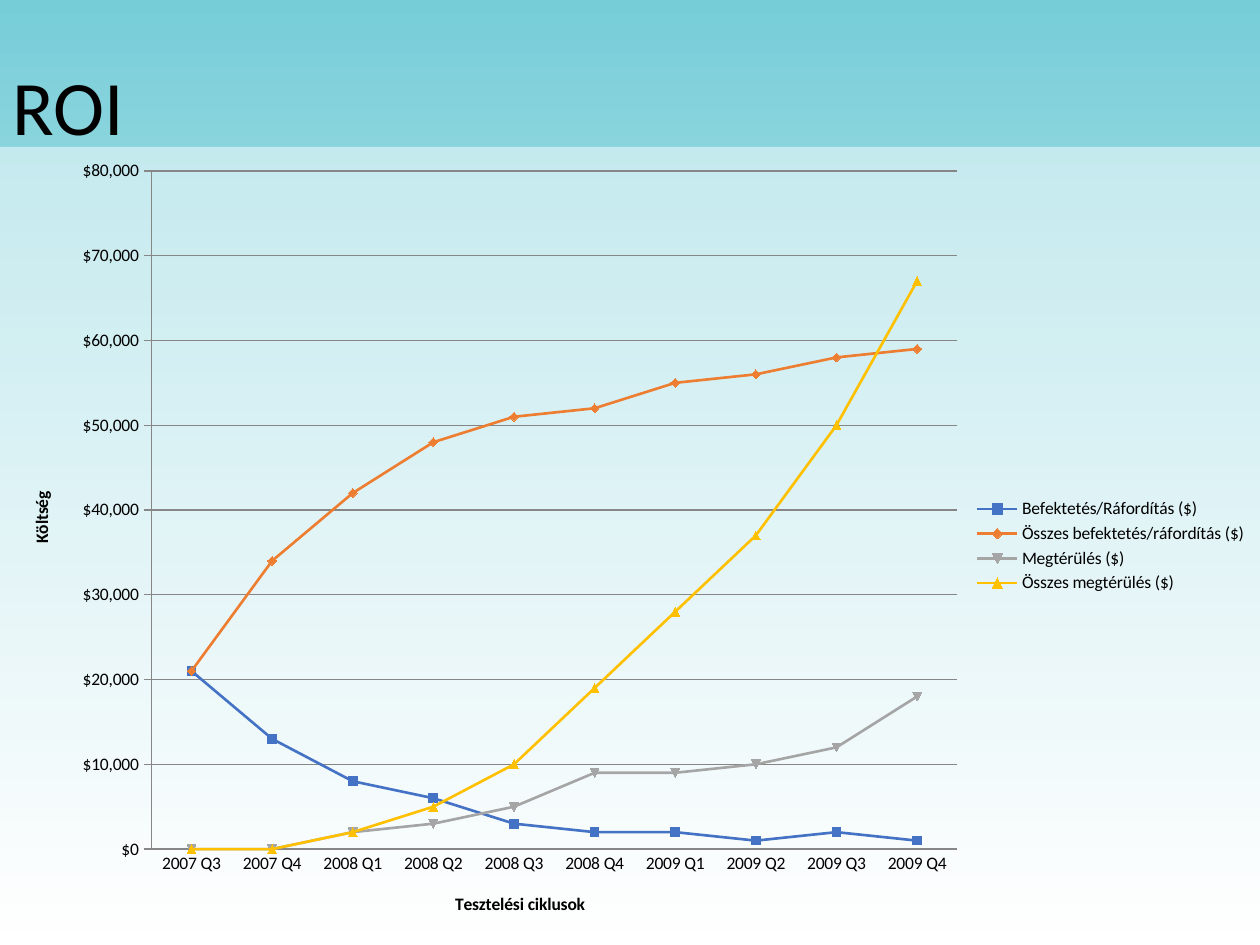
from lxml.etree import fromstring
from pptx import Presentation
from pptx.chart.data import CategoryChartData
from pptx.dml.color import RGBColor
from pptx.enum.chart import XL_CHART_TYPE as CT, XL_LEGEND_POSITION as LP, XL_TICK_MARK as TM
from pptx.enum.text import MSO_ANCHOR, PP_ALIGN
from pptx.util import Pt

TITLE = "ROI"
CATS = [f"{y} Q{q}" for y in (2007, 2008, 2009) for q in (1, 2, 3, 4)][2:]
SERIES = [
    ("Befektetés/Ráfordítás ($)", "4472C4",
     (21000, 13000, 8000, 6000, 3000, 2000, 2000, 1000, 2000, 1000)),
    ("Összes befektetés/ráfordítás ($)", "ED7D31",
     (21000, 34000, 42000, 48000, 51000, 52000, 55000, 56000, 58000, 59000)),
    ("Megtérülés ($)", "A5A5A5",
     (0, 0, 2000, 3000, 5000, 9000, 9000, 10000, 12000, 18000)),
    ("Összes megtérülés ($)", "FFC000",
     (0, 0, 2000, 5000, 10000, 19000, 28000, 37000, 50000, 67000)),
]
AXIS_TITLES = {"category_axis": "Tesztelési ciklusok", "value_axis": "Költség"}
PLOT = {"x": 0.12, "y": 0.03, "w": 0.64, "h": 0.85}
W, H = 720, 540
CHART_TOP = 84
NS = ('xmlns:c="http://schemas.openxmlformats.org/drawingml/2006/chart" '
      'xmlns:a="http://schemas.openxmlformats.org/drawingml/2006/main"')


def rgb(color):
    return RGBColor.from_string(color)


def style(font, size, bold=False):
    for key, val in {"name": "Calibri", "size": Pt(size), "bold": bold}.items():
        setattr(font, key, val)
    font.color.rgb = rgb("000000")


def line(fmt, color, width):
    fmt.line.color.rgb = rgb(color)
    fmt.line.width = Pt(width)


def add_title(s):
    sp = s.shapes.title
    box = {"left": 0, "top": 0, "width": 612, "height": 126}
    for key, val in box.items():
        setattr(sp, key, Pt(val))
    tf = sp.text_frame
    tf.text = TITLE
    tf.vertical_anchor = MSO_ANCHOR.MIDDLE
    p = tf.paragraphs[0]
    p.alignment, p.line_spacing = PP_ALIGN.LEFT, 0.9
    style(p.runs[0].font, 44)


def add_roi_chart(s):
    data = CategoryChartData(number_format="[$$-409]#,##0")
    data.categories = CATS
    for name, _, vals in SERIES:
        data.add_series(name, vals)
    chart = s.shapes.add_chart(CT.LINE_MARKERS, 0, Pt(CHART_TOP), Pt(W),
                               Pt(H - CHART_TOP), data).chart
    chart.has_title = False
    style(chart.font, 10)
    chart.has_legend = True
    chart.legend.position = LP.RIGHT
    chart.legend.include_in_layout = False
    chart.plots[0].vary_by_categories = False

    for ser, (_, color, _) in zip(chart.plots[0].series, SERIES):
        ser.smooth = False
        line(ser.format, color, 1.5)
        ser.marker.size = 5
        ser.marker.format.fill.solid()
        ser.marker.format.fill.fore_color.rgb = rgb(color)
        line(ser.marker.format, color, 0.75)

    for name, text in AXIS_TITLES.items():
        axis = getattr(chart, name)
        tf = axis.axis_title.text_frame
        tf.text = text
        style(tf.paragraphs[0].runs[0].font, 10, True)
        line(axis.format, "868686", 0.75)
        axis.minor_tick_mark = TM.NONE
    chart.category_axis.major_tick_mark = TM.NONE

    axis = chart.value_axis
    scale = {"minimum_scale": 0, "maximum_scale": 80000, "major_unit": 10000,
             "major_tick_mark": TM.OUTSIDE, "has_major_gridlines": True}
    for key, val in scale.items():
        setattr(axis, key, val)
    line(axis.major_gridlines.format, "868686", 0.75)
    axis.tick_labels.number_format = "[$$-409]#,##0"
    axis.tick_labels.number_format_is_linked = False
    format_areas(chart)


def format_areas(chart):
    root = chart.element.chart
    area = root.plotArea
    for old in area.findall("{*}layout"):
        area.remove(old)
    modes = "".join(f'<c:{k}Mode val="edge"/>' for k in "xy")
    sizes = "".join(f'<c:{k} val="{v}"/>' for k, v in PLOT.items())
    area.insert(0, fromstring(
        f'<c:layout {NS}><c:manualLayout><c:layoutTarget val="inner"/>'
        f'{modes}{sizes}</c:manualLayout></c:layout>'))
    root.addnext(fromstring(
        f'<c:spPr {NS}><a:solidFill><a:srgbClr val="FFFFFF"><a:alpha val="50000"/>'
        '</a:srgbClr></a:solidFill><a:ln><a:noFill/></a:ln></c:spPr>'))


def main():
    prs = Presentation()
    prs.slide_width, prs.slide_height = Pt(W), Pt(H)
    s = prs.slides.add_slide(prs.slide_layouts[5])
    fill = s.background.fill
    fill.gradient()
    fill.gradient_angle = 270
    for stop, color in zip(fill.gradient_stops, ("76CDD8", "FFFFFF")):
        stop.color.rgb = rgb(color)
    add_title(s)
    add_roi_chart(s)
    prs.save("out.pptx")


if __name__ == "__main__":
    main()
